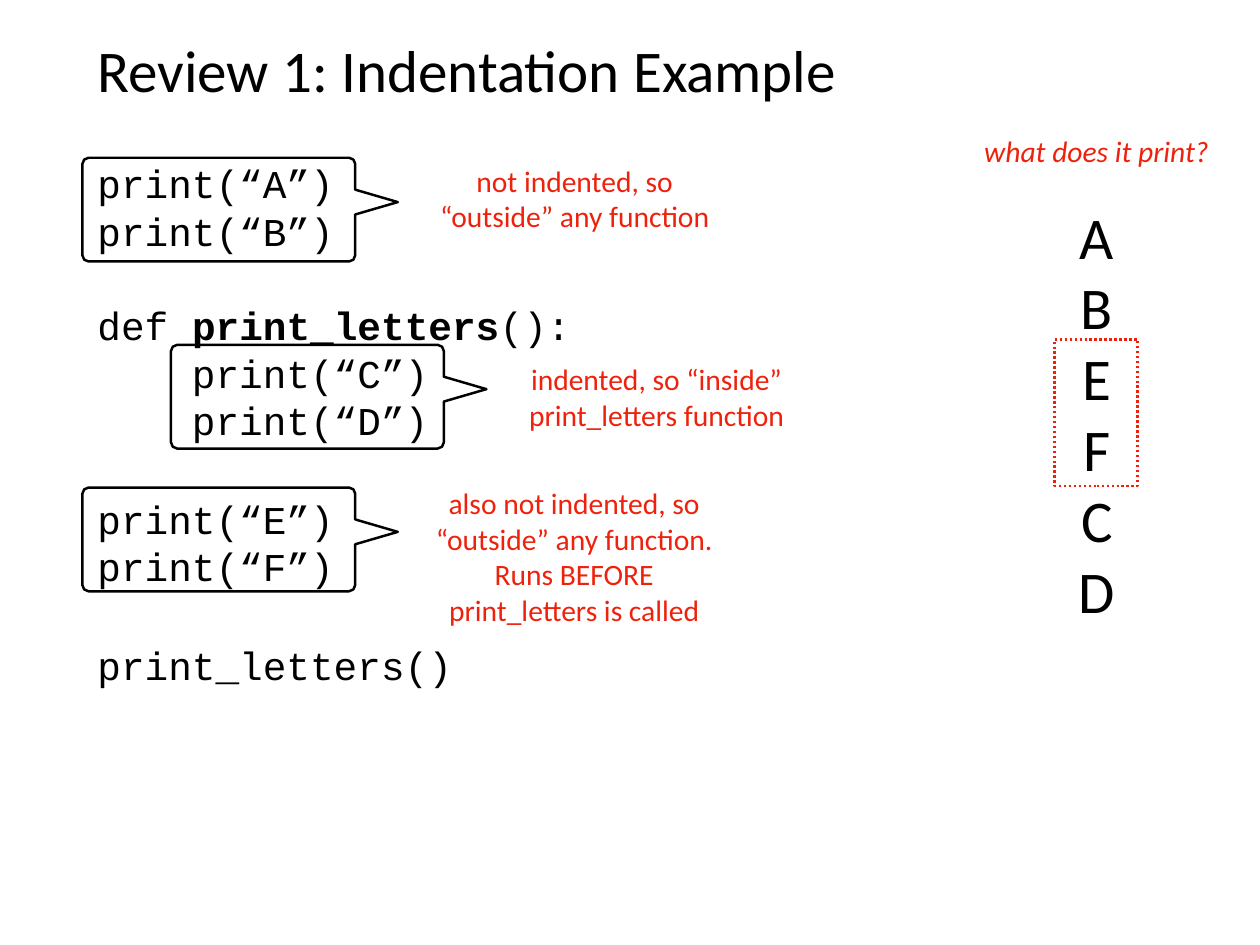
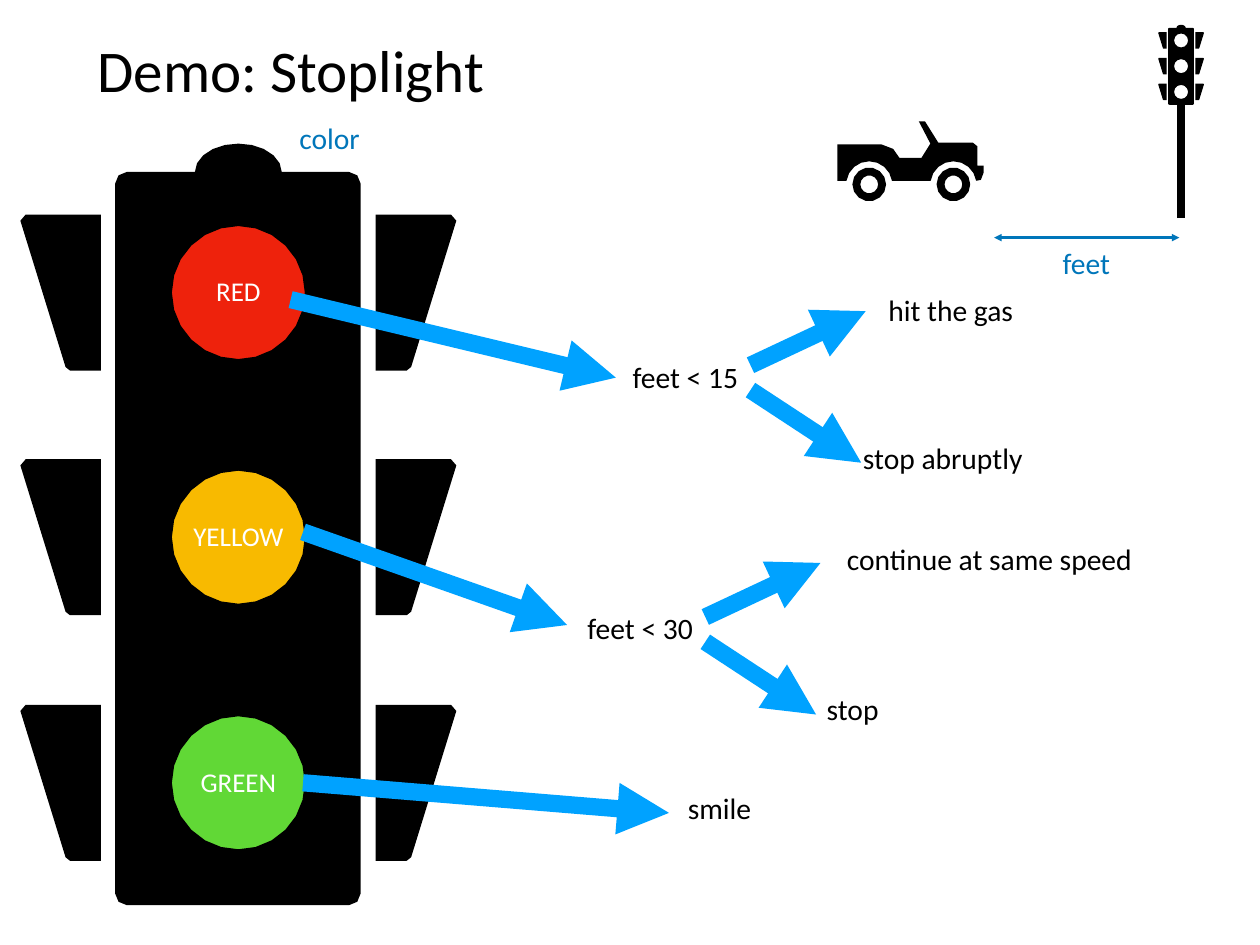
from math import cos, radians, sin

from pptx import Presentation
from pptx.dml.color import RGBColor
from pptx.enum.dml import MSO_LINE
from pptx.enum.shapes import MSO_CONNECTOR, MSO_SHAPE
from pptx.enum.text import MSO_ANCHOR, PP_ALIGN
from pptx.oxml.ns import qn
from pptx.util import Inches, Pt
from lxml.etree import SubElement

COLORS = {
    "black": "000000", "white": "FFFFFF", "red": "EE220C", "yellow": "F8BA00",
    "green": "61D836", "blue": "0076BA", "arrow": "00A2FF",
}
BODY_FONT, CODE_FONT = "Calibri", "Courier New"
LEFT, CENTER = PP_ALIGN.LEFT, PP_ALIGN.CENTER
TITLE_ONLY = 5


def rgb(name):
    return RGBColor.from_string(COLORS[name])


def write(paragraph, text, size=24, color="black", font=BODY_FONT, bold=False,
          italic=False, align=LEFT, before=0):
    """Append formatted text, with a line break at each newline."""
    paragraph.alignment = align
    paragraph.space_before = Pt(before)
    for i, line in enumerate(text.split("\n")):
        if i:
            paragraph.add_line_break()
            style = SubElement(paragraph._p[-1], qn("a:rPr"), sz=str(size * 100))
            SubElement(style, qn("a:latin"), typeface=font)
        if line:
            run = paragraph.add_run()
            run.text = line
            run.font.size, run.font.name = Pt(size), font
            run.font.bold, run.font.italic = bold, italic
            run.font.color.rgb = rgb(color)


def arc(x, y, radius_x, radius_y, start, end, steps):
    """Points of an arc; angles in degrees, clockwise from the right."""
    angles = [radians(start + (end - start) * i / steps) for i in range(steps + 1)]
    return [(x + radius_x * cos(a), y + radius_y * sin(a)) for a in angles]


def circle(x, y, radius, steps):
    return arc(x, y, radius, radius, 0, 360, steps)[:-1]


def rounded_corners(left, top, right, bottom, radius):
    """Four corner arcs, clockwise from the top right one."""
    r = radius
    centers = [(right - r, top + r), (right - r, bottom - r),
               (left + r, bottom - r), (left + r, top + r)]
    return [arc(x, y, r, r, 90 * i - 90, 90 * i, 2) for i, (x, y) in enumerate(centers)]


class Deck:
    def __init__(self, width, height):
        self.presentation = Presentation()
        self.presentation.slide_width = Inches(width)
        self.presentation.slide_height = Inches(height)
        self.slide = None

    def add_slide(self, title):
        layout = self.presentation.slide_layouts[TITLE_ONLY]
        self.slide = self.presentation.slides.add_slide(layout)
        shape = self.slide.shapes.title
        shape.left, shape.top = Inches(1.04), Inches(0.28)
        shape.width, shape.height = Inches(12.14), Inches(0.99)
        frame = self.prepare_frame(shape)
        write(frame.paragraphs[0], title, size=48)

    def prepare_frame(self, shape, anchor=MSO_ANCHOR.MIDDLE):
        frame = shape.text_frame
        frame.word_wrap = True
        frame.vertical_anchor = anchor
        frame.margin_left = frame.margin_right = Inches(0.06)
        frame.margin_top = frame.margin_bottom = Inches(0.06)
        return frame

    def text_box(self, box, anchor=MSO_ANCHOR.MIDDLE):
        shape = self.slide.shapes.add_textbox(*map(Inches, box))
        return self.prepare_frame(shape, anchor)

    def label(self, box, *texts, align=CENTER, **style):
        """Text box with one paragraph for each text."""
        frame = self.text_box(box)
        for i, text in enumerate(texts):
            paragraph = frame.add_paragraph() if i else frame.paragraphs[0]
            write(paragraph, text, align=align, **style)

    def code(self, box, *blocks):
        """Each block is a list of pieces, plain and bold by turns."""
        frame = self.text_box(box, MSO_ANCHOR.TOP)
        for i, pieces in enumerate(blocks):
            paragraph = frame.add_paragraph() if i else frame.paragraphs[0]
            for j, piece in enumerate(pieces):
                write(paragraph, piece, size=32, font=CODE_FONT, bold=j % 2 == 1,
                      before=42 if i else 0)

    def paint(self, shape, fill=None, line=None):
        shape.shadow.inherit = False
        if fill:
            shape.fill.solid()
            shape.fill.fore_color.rgb = rgb(fill)
        else:
            shape.fill.background()
        if line:
            shape.line.color.rgb = rgb(line)
            shape.line.width = Pt(2)
        else:
            shape.line.fill.background()

    def rectangle(self, box, **colors):
        shape = self.slide.shapes.add_shape(MSO_SHAPE.RECTANGLE, *map(Inches, box))
        self.paint(shape, **colors)
        return shape

    def outline(self, contours, **colors):
        """One shape of closed contours; inner ones are holes."""
        contours = [[(Inches(x), Inches(y)) for x, y in points] for points in contours]
        builder = self.slide.shapes.build_freeform(*contours[0][0])
        for i, points in enumerate(contours):
            if i:
                builder.move_to(*points[0])
            builder.add_line_segments(points[1:], close=True)
        self.paint(builder.convert_to_shape(), **colors)

    def callout(self, left, top):
        right, middle = left + 3.08, top + 0.5
        top_right, *others = rounded_corners(left, top, right, top + 1.17, 0.07)
        pointer = [(right, middle - 0.14), (right + 0.48, middle), (right, middle + 0.14)]
        self.outline([top_right + pointer + sum(others, [])], line="black")

    def line(self, start, end, color="arrow", width=14, ends=("tailEnd",)):
        connector = self.slide.shapes.add_connector(
            MSO_CONNECTOR.STRAIGHT, *map(Inches, start + end))
        connector.line.color.rgb = rgb(color)
        connector.line.width = Pt(width)
        properties = connector._element.spPr
        for end_name in ends:
            SubElement(properties.find(qn("a:ln")), qn(f"a:{end_name}"), type="triangle")
        SubElement(properties, qn("a:effectLst"))

    def signal(self, center, top, scale=1, lamp_steps=24):
        """Traffic light with three open lamps."""
        body = arc(0, 0.32, 0.49, 0.32, 180, 360, 10)
        body += sum(rounded_corners(-1.39, 0.32, 1.38, 8.59, 0.13), [])
        hood = [(1.55, 0.8), (2.4, 0.8), (2.46, 0.87),
                (1.95, 2.52), (1.9, 2.56), (1.55, 2.56)]
        contours = [body]
        for drop in (0, 2.76, 5.53):
            contours.append(circle(0, 1.68 + drop, 0.75, lamp_steps))
            for side in (-1, 1):
                contours.append([(side * x, y + drop) for x, y in hood])
        self.outline([[(center + x * scale, top + y * scale) for x, y in points]
                      for points in contours], fill="black")

    def car(self):
        wheels = (9.81, 10.76)
        body = [(10.37, 1.37), (10.5, 1.62), (10.4, 1.78), (10.15, 1.78),
                (10.08, 1.68), (9.95, 1.63), (9.45, 1.63), (9.45, 2.04)]
        for x in wheels:
            body += arc(x, 2.08, 0.26, 0.26, 189, 351, 8)
        body += [(11.07, 2.03), (11.1, 1.95), (11.1, 1.87), (11.03, 1.87),
                 (11.03, 1.65), (10.98, 1.61), (10.59, 1.61), (10.44, 1.37)]
        rings = [circle(x, 2.08, radius, 14) for x in wheels for radius in (0.19, 0.1)]
        self.outline([body] + rings, fill="black")

    def decision(self, left, top, condition):
        """Condition with one arrow up and one arrow down."""
        self.label((left, top, 1.47, 0.51), condition)
        start = left + 1.47
        self.line((start, top + 0.13), (start + 1.3, top - 0.48))
        self.line((start, top + 0.41), (start + 1.25, top + 1.23))


def add_indentation_slide(deck):
    deck.add_slide("Review 1: Indentation Example")
    deck.code(
        (1.04, 1.74, 12.14, 7.97),
        ["print(“A”)\nprint(“B”)\n\ndef ", "print_letters",
         "():\n    print(“C”)\n    print(“D”)"],
        ["print(“E”)\nprint(“F”)"],
        ["print_letters()"],
    )
    deck.label((10.95, 1.44, 2.85, 0.51), "what does it print?", color="red", italic=True)
    for left, top in ((1.93, 3.89), (0.93, 1.78), (0.93, 5.5)):
        deck.callout(left, top)
    for box, *notes in (
        ((5.71, 4.02, 3.4, 0.91), "indented, so “inside”\nprint_letters function"),
        ((4.71, 1.78, 3.55, 0.91), "not indented, so", "“outside” any function"),
        ((4.66, 5.42, 3.64, 1.71), "also not indented, so", "“outside” any function.",
         "Runs BEFORE\nprint_letters is called"),
    ):
        deck.label(box, *notes, color="red")
    frame = deck.rectangle((11.9, 3.83, 0.94, 1.65), line="red")
    frame.line.dash_style = MSO_LINE.ROUND_DOT
    deck.label((12.08, 2.2, 0.6, 4.91), "A\nB\nE\nF\nC\nD", size=48)


def add_stoplight_slide(deck):
    deck.add_slide("Demo: Stoplight")
    for i, color in enumerate(("red", "yellow", "green")):
        panel = deck.rectangle((1.7, 2.35 + 2.77 * i, 1.98, 1.85), fill=color)
        paragraph = deck.prepare_frame(panel).paragraphs[0]
        write(paragraph, color.upper(), size=22, color="white", align=CENTER)
    deck.signal(2.69, 1.62)
    deck.car()
    deck.signal(13.33, 0.28, scale=0.105, lamp_steps=12)
    deck.line((13.33, 2.46), (13.33, 1.19), "black", 6, ends=())
    deck.line((11.22, 2.68), (13.31, 2.68), "blue", 2, ends=("headEnd", "tailEnd"))
    deck.label((11.9, 2.71, 0.72, 0.51), "feet", color="blue")
    deck.label((3.27, 1.3, 0.9, 0.51), "color", color="blue")

    for start, end in (((3.28, 3.38), (6.95, 4.26)), ((3.42, 6), (6.4, 7.05)),
                       ((3.42, 8.83), (7.55, 9.17))):
        deck.line(start, end)
    deck.decision(7, 3.99, "feet < 15")
    deck.decision(6.49, 6.83, "feet < 30")
    for left, top, width, action, align in (
        (9.85, 3.24, 1.76, "hit the gas", CENTER),
        (9.68, 4.91, 2.2, "stop abruptly", LEFT),
        (9.24, 6.05, 3.85, "continue at same speed", CENTER),
        (9.27, 7.74, 0.8, "stop", LEFT),
        (7.65, 8.86, 0.94, "smile", CENTER),
    ):
        deck.label((left, top, width, 0.51), action, align=align)


def main():
    deck = Deck(14.22, 10.66)
    add_indentation_slide(deck)
    add_stoplight_slide(deck)
    deck.presentation.save("out.pptx")


if __name__ == "__main__":
    main()
